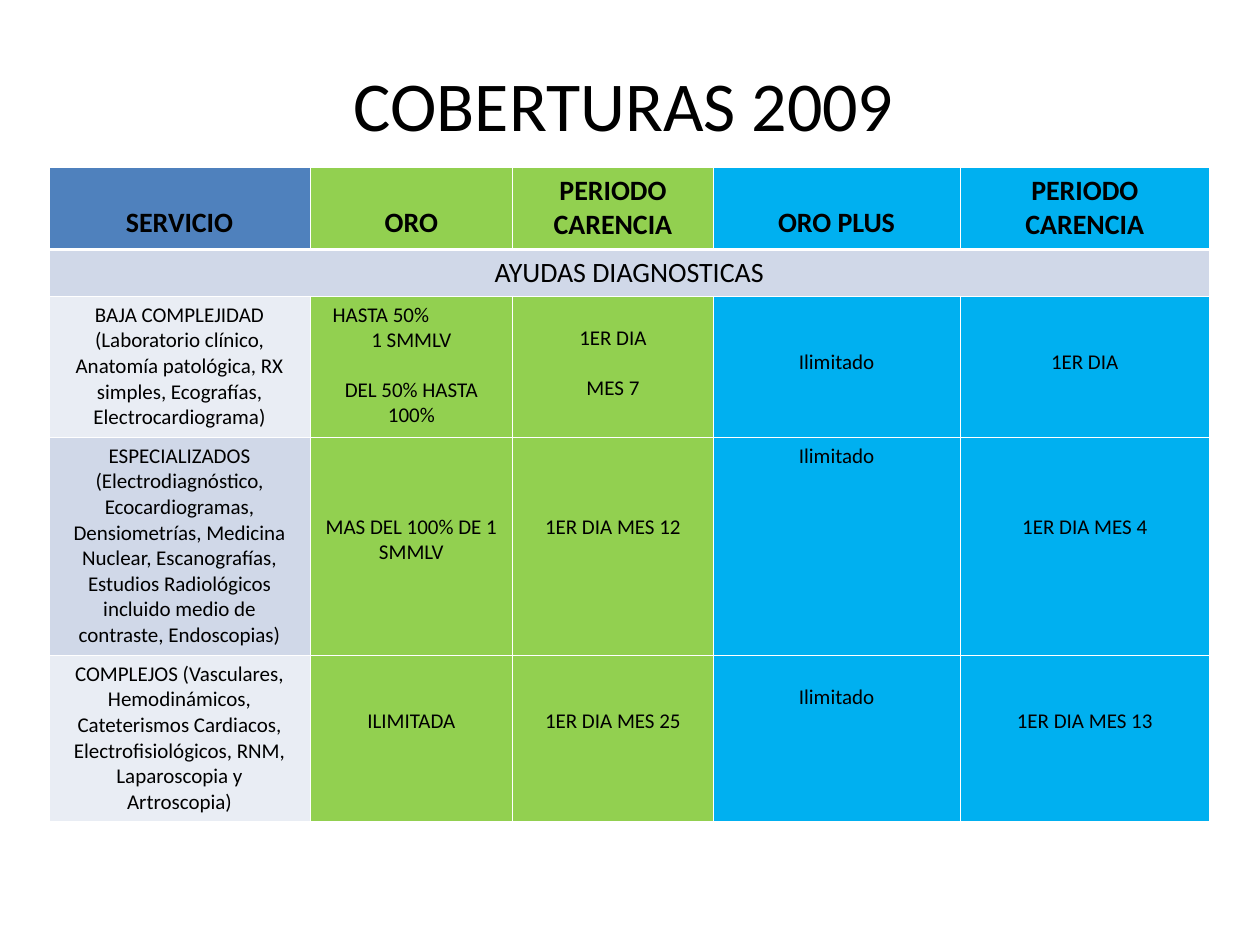
from lxml.etree import SubElement
from pptx import Presentation
from pptx.dml.color import RGBColor
from pptx.enum.text import MSO_ANCHOR, PP_ALIGN
from pptx.oxml.ns import qn
from pptx.util import Inches, Pt

GREEN, BLUE, BAND, LIGHT = "92D050", "00B0F0", "D0D8E8", "E9EDF4"


def write(p, text, size, bold=False):
    p.alignment = PP_ALIGN.CENTER
    r = p.add_run()
    r.text = text
    font = {"name": "Calibri", "size": Pt(size), "bold": bold}
    for name, value in font.items():
        setattr(r.font, name, value)
    r.font.color.rgb = RGBColor.from_string("000000")


def set_borders(cell, widths):
    """Draw white cell borders; widths maps an edge (L, R, T, B) to points."""
    tcPr = cell._tc.get_or_add_tcPr()
    for i, (edge, width) in enumerate(widths.items()):
        ln = tcPr.makeelement(qn(f"a:ln{edge}"), {"w": str(Pt(width))})
        fill = SubElement(ln, qn("a:solidFill"))
        SubElement(fill, qn("a:srgbClr"), val="FFFFFF")
        tcPr.insert(i, ln)


prs = Presentation()
prs.slide_width, prs.slide_height = Inches(10), Inches(7.5)
s = prs.slides.add_slide(prs.slide_layouts[6])

title = s.shapes.add_textbox(Inches(0.7), Inches(0.47), Inches(8.5), Inches(0.7))
tf = title.text_frame
tf.word_wrap = True
tf.vertical_anchor = MSO_ANCHOR.MIDDLE
write(tf.paragraphs[0], "COBERTURAS 2009", 40)

# Each cell: paragraphs, and how many lines down the text starts
rows = [
    [(["SERVICIO"], 1), (["ORO"], 1), (["PERIODO CARENCIA"], 0),
     (["ORO PLUS"], 1), (["PERIODO CARENCIA"], 0)],
    [(["AYUDAS DIAGNOSTICAS"], 0)] + [([], 0)] * 4,
    [(["BAJA COMPLEJIDAD (Laboratorio clínico, Anatomía patológica, "
       "RX simples, Ecografías, Electrocardiograma)"], 0),
     (["HASTA 50%", "1 SMMLV", "DEL 50% HASTA 100%"], 0),
     (["1ER DIA", "MES 7"], 1), (["Ilimitado"], 2), (["1ER DIA"], 2)],
    [(["ESPECIALIZADOS (Electrodiagnóstico, Ecocardiogramas, Densiometrías, "
       "Medicina Nuclear, Escanografías, Estudios Radiológicos incluido medio "
       "de contraste, Endoscopias)"], 0),
     (["MAS DEL 100% DE 1 SMMLV"], 3), (["1ER DIA MES 12"], 3),
     (["Ilimitado"], 0), (["1ER DIA MES 4"], 3)],
    [(["COMPLEJOS (Vasculares, Hemodinámicos, Cateterismos Cardiacos, "
       "Electrofisiológicos, RNM, Laparoscopia y Artroscopia)"], 0),
     (["ILIMITADA"], 2), (["1ER DIA MES 25"], 2),
     (["Ilimitado"], 1), (["1ER DIA MES 13"], 2)],
]
col_widths = [2.07, 1.61, 1.59, 1.96, 1.98]
row_heights = [0.65, 0.37, 1.12, 1.73, 1.32]
service_fills = ["4F81BD", BAND, LIGHT, BAND, LIGHT]
plan_fills = [GREEN, GREEN, BLUE, BLUE]

table = s.shapes.add_table(5, 5, Inches(0.39), Inches(1.33),
                           Inches(sum(col_widths)), Inches(sum(row_heights))).table
table.horz_banding = False
for column, width in zip(table.columns, col_widths):
    column.width = Inches(width)
for row, height in zip(table.rows, row_heights):
    row.height = Inches(height)
table.cell(1, 0).merge(table.cell(1, 4))

for i, row in enumerate(rows):
    size = 16 if i < 2 else 12
    fills = [BAND] * 5 if i == 1 else [service_fills[i]] + plan_fills
    for j, (texts, lines_down) in enumerate(row):
        cell = table.cell(i, j)
        cell.fill.solid()
        cell.fill.fore_color.rgb = RGBColor.from_string(fills[j])
        cell.margin_top = Inches(0.05 + lines_down * size / 64)
        set_borders(cell, {"L": 0.45, "R": 0.45,
                           "T": 1.47 if i == 1 else 0.45,
                           "B": 1.47 if i == 0 else 0.45})
        tf = cell.text_frame
        for k, text in enumerate(texts):
            p = tf.paragraphs[0] if k == 0 else tf.add_paragraph()
            write(p, text, size, bold=i == 0)

# The first coverage cell starts at the left and keeps gaps between its limits
limits = table.cell(2, 1).text_frame.paragraphs
limits[0].alignment = PP_ALIGN.LEFT
limits[0]._p.get_or_add_pPr().set("marL", str(Inches(0.08)))
for p in (limits[2], table.cell(2, 2).text_frame.paragraphs[1]):
    p.space_before = Pt(13.5)

prs.save("out.pptx")
